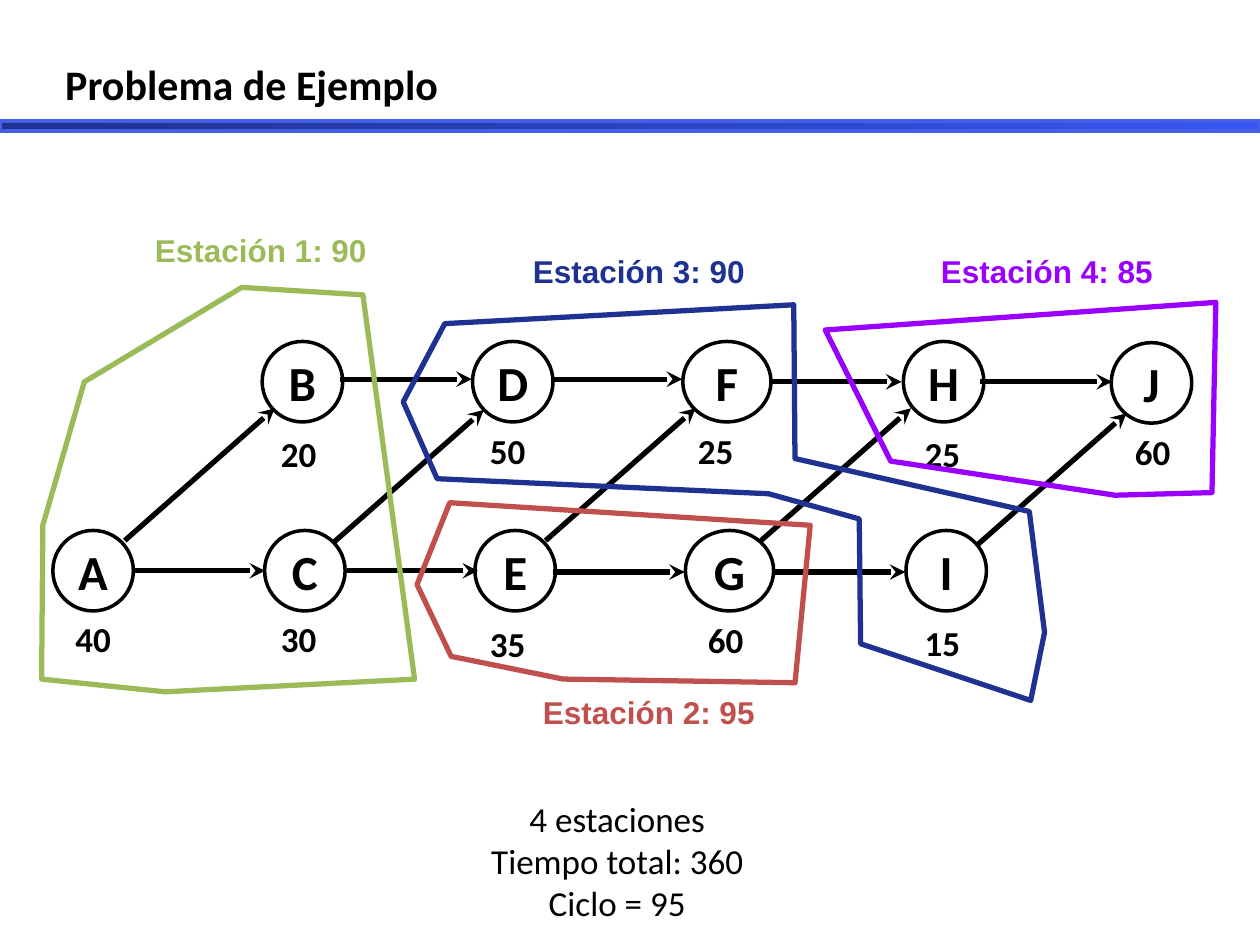
import pptx
import pptx.util
import pptx.dml.color
import pptx.enum.shapes
import pptx.enum.text
import pptx.oxml.ns
from lxml import etree

Pt = pptx.util.Pt
RGB = pptx.dml.color.RGBColor
SHAPE = pptx.enum.shapes.MSO_SHAPE
ALIGN = pptx.enum.text.PP_ALIGN
ANCHOR = pptx.enum.text.MSO_ANCHOR
qn = pptx.oxml.ns.qn

BLACK = RGB(0x00, 0x00, 0x00)
WHITE = RGB(0xFF, 0xFF, 0xFF)
GREEN = RGB(0x9B, 0xBB, 0x59)
RED = RGB(0xC0, 0x50, 0x4D)
NAVY = RGB(0x1F, 0x32, 0x91)
PURPLE = RGB(0x99, 0x00, 0xFF)
BLUE = RGB(0x37, 0x56, 0xF2)
BAR_EDGE = RGB(0x44, 0x5F, 0xE6)

DIAMETER = 46
LEVEL_RUN = 75.2
RISING_RUN, RISE = 85.7, 75.6

# label, circle left, top and width, time, time left and top
TASKS = [
    ("A", 30.2, 303.1, DIAMETER, "40", 36, 349.2),
    ("B", 149.8, 195.1, DIAMETER, "20", 153.4, 243.4),
    ("C", 151.2, 303.1, DIAMETER, "30", 153.4, 349.2),
    ("D", 270, 195.1, DIAMETER, "50", 272.9, 241.9),
    ("E", 271.4, 303.1, DIAMETER, "35", 272.9, 352.1),
    ("F", 390.2, 195.1, 50.4, "25", 391.7, 241.9),
    ("G", 391.7, 303.1, 50.4, "60", 397.4, 349.9),
    ("H", 516.2, 195.1, DIAMETER, "25", 521.3, 243.4),
    ("I", 517.7, 303.1, DIAMETER, "15", 521.3, 351.4),
    ("J", 635, 195.8, DIAMETER, "60", 641.5, 242.6),
]

# Start points; every arrow of a kind has the same run and rise.
LEVEL_ARROWS = [(76.3, 326.2), (198, 326.2), (316.1, 326.9), (442.1, 326.9),
                (194.4, 216.7), (314.6, 216.7), (439.9, 218.2), (560.2, 218.2)]
RISING_ARROWS = [(71.3, 308.9), (190.8, 309.8), (311.8, 308.9),
                 (434.9, 308.9), (558, 311.8)]

# label, colour, label box, outline corners
STATIONS = [
    ("Estación 1: 90", GREEN, (81.4, 124.6, 141.8, 43.9),
     [(138.2, 164.2), (48.2, 218.2), (24.5, 300.2), (23.8, 388.1),
      (94.3, 395.3), (236.9, 388.1), (207.4, 168.5)]),
    ("Estación 2: 95", RED, (303.1, 388.8, 150.5, 43.9),
     [(257, 287.3), (238.3, 334.1), (257.8, 375.1), (321.8, 388.1),
      (454.3, 390.2), (463, 300.2)]),
    ("Estación 3: 90", NAVY, (297.4, 136.8, 150.5, 43.9),
     [(254.2, 185), (230.4, 229.7), (249.8, 273.6), (439.2, 282.2),
      (491, 296.6), (491.8, 367.9), (589, 400.3), (596.9, 361.4),
      (588.2, 292.3), (454.3, 262.1), (453.6, 174.2)]),
    ("Estación 4: 85", PURPLE, (530.6, 136.8, 141.8, 43.9),
     [(471.6, 188.6), (509, 263.5), (637.2, 283), (692.6, 281.5),
      (694.8, 172.8)]),
]


class Diagram:
    font = "Calibri"
    thin, thick = 2, 3

    def __init__(self, slide):
        self.s = slide

    def fill_text(self, shape, lines, size, color=BLACK, bold=True, font=None,
                  align=ALIGN.LEFT, anchor=ANCHOR.TOP, inset=3.6):
        tf = shape.text_frame
        frame = {"word_wrap": True, "vertical_anchor": anchor,
                 "margin_left": Pt(7.2), "margin_right": Pt(7.2),
                 "margin_top": Pt(inset), "margin_bottom": Pt(inset)}
        for name, value in frame.items():
            setattr(tf, name, value)
        style = {"name": font or self.font, "size": Pt(size), "bold": bold}
        for i, line in enumerate(lines):
            p = tf.add_paragraph() if i else tf.paragraphs[0]
            p.alignment = align
            r = p.add_run()
            r.text = line
            for name, value in style.items():
                setattr(r.font, name, value)
            r.font.color.rgb = color

    def text(self, box, lines, size, **style):
        sp = self.s.shapes.add_textbox(*map(Pt, box))
        self.fill_text(sp, lines, size, **style)

    def stroke(self, shape, color, width):
        shape.line.color.rgb = color
        shape.line.width = Pt(width)

    def circle(self, x, y, width, label):
        sp = self.s.shapes.add_shape(SHAPE.OVAL, Pt(x), Pt(y), Pt(width), Pt(DIAMETER))
        sp.shadow.inherit = False
        sp.fill.solid()
        sp.fill.fore_color.rgb = WHITE
        self.stroke(sp, BLACK, self.thin)
        self.fill_text(sp, [label], 28, align=ALIGN.CENTER, anchor=ANCHOR.MIDDLE)

    def arrow(self, x, y, run, rise=0):
        ends = map(Pt, (x, y, x + run, y - rise))
        cx = self.s.shapes.add_connector(
            pptx.enum.shapes.MSO_CONNECTOR.STRAIGHT, *ends)
        self.stroke(cx, BLACK, self.thick)
        props = cx._element.spPr
        etree.SubElement(props.find(qn("a:ln")), qn("a:tailEnd"), type="stealth")
        etree.SubElement(props, qn("a:effectLst"))

    def outline(self, corners, color):
        points = [(Pt(x), Pt(y)) for x, y in corners]
        builder = self.s.shapes.build_freeform(*points[0])
        builder.add_line_segments(points[1:], close=True)
        sp = builder.convert_to_shape()
        sp.shadow.inherit = False
        sp.fill.background()
        self.stroke(sp, color, self.thick)

    def bar(self, box):
        """Draw the title rule, shaded from left to right."""
        sp = self.s.shapes.add_shape(SHAPE.RECTANGLE, *map(Pt, box))
        sp.shadow.inherit = False
        sp.fill.gradient()
        sp.fill.gradient_angle = 0
        shades = [(0.04, NAVY), (1, BLUE)]
        for stop, (position, color) in zip(sp.fill.gradient_stops, shades):
            stop.position = position
            stop.color.rgb = color
        self.stroke(sp, BAR_EDGE, self.thin)


def main():
    prs = pptx.Presentation()
    prs.slide_width, prs.slide_height = Pt(720), Pt(540)
    d = Diagram(prs.slides.add_slide(prs.slide_layouts[6]))

    d.text((30.2, 30.2, 228.5, 36), ["Problema de Ejemplo"], 24)
    for label, x, y, width, time, time_x, time_y in TASKS:
        d.circle(x, y, width, label)
        d.text((time_x, time_y, 36, 31.7), [time], 20)
    d.text((239, 452.2, 227.5, 87.8),
           ["4 estaciones", "Tiempo total: 360", "Ciclo = 95"], 20,
           bold=False, align=ALIGN.CENTER)
    for x, y in RISING_ARROWS:
        d.arrow(x, y, RISING_RUN, RISE)
    for x, y in LEVEL_ARROWS:
        d.arrow(x, y, LEVEL_RUN)
    d.bar((0, 69.1, 720, 5.8))
    for label, color, box, corners in STATIONS:
        d.outline(corners, color)
        d.text(box, [label], 18, color=color, font="Arial", inset=7.2)

    prs.save("out.pptx")


if __name__ == "__main__":
    main()
